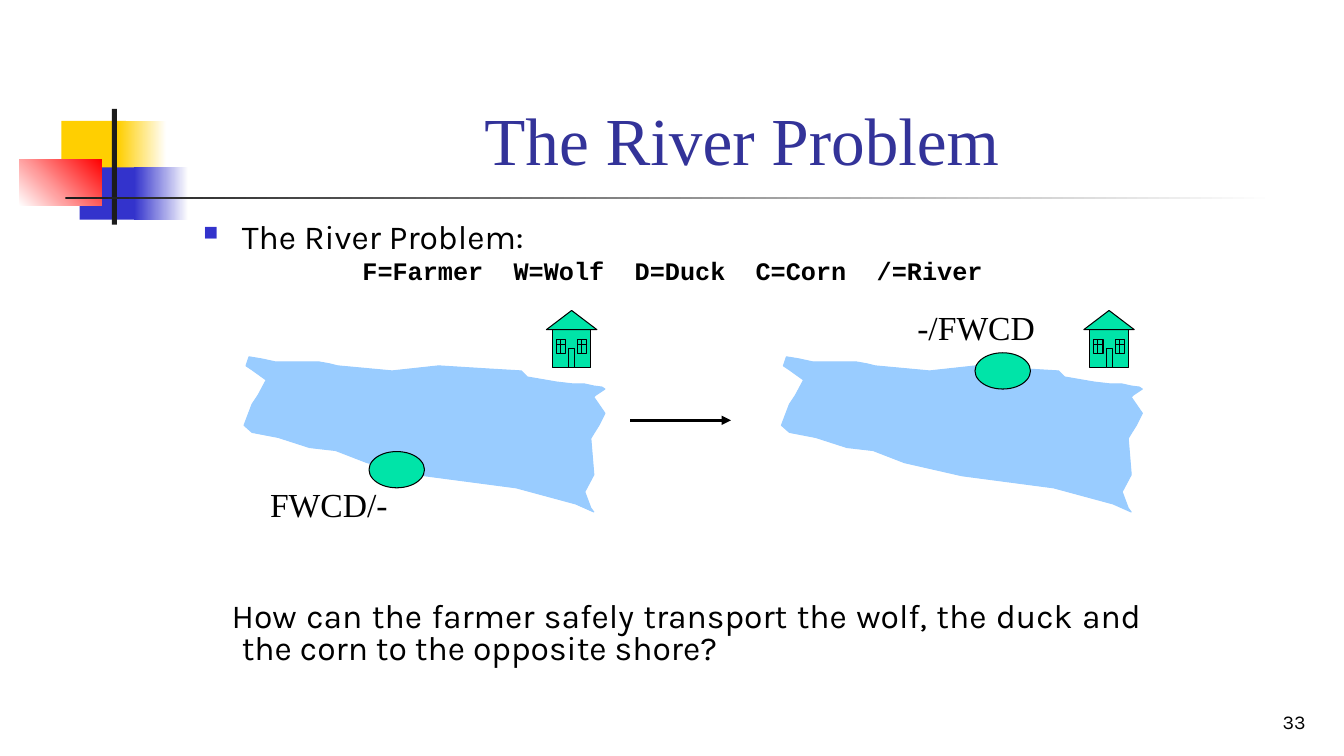
from lxml.etree import SubElement
from pptx import Presentation
from pptx.dml.color import RGBColor
from pptx.enum.shapes import MSO_CONNECTOR as Connector, MSO_SHAPE as Shape
from pptx.enum.text import MSO_ANCHOR as Anchor, PP_ALIGN as Align
from pptx.oxml.ns import qn
from pptx.util import Inches, Pt

BLACK = RGBColor(0x00, 0x00, 0x00)
WHITE = RGBColor(0xFF, 0xFF, 0xFF)
CHARCOAL = RGBColor(0x1C, 0x1C, 0x1C)
YELLOW = RGBColor(0xFF, 0xCF, 0x01)
BLUE = RGBColor(0x33, 0x33, 0xCC)
RED = RGBColor(0xFF, 0x00, 0x00)
TITLE_BLUE = RGBColor(0x33, 0x33, 0x99)
WATER = RGBColor(0x99, 0xCC, 0xFF)
GREEN = RGBColor(0x00, 0xE4, 0xA8)

SERIF, SANS, MONO = "Times New Roman", "Karla", "Courier New"
HANG = 0.38

RIVER_OUTLINE = [
    (347, 154), (329, 146), (270, 130), (179, 118), (122, 105), (91, 93),
    (65, 90), (34, 80), (8, 75), (0, 68), (8, 47), (14, 38), (22, 23),
    (8, 13), (2, 9), (5, 0), (17, 2), (31, 5), (74, 5), (85, 7), (93, 9),
    (147, 14), (193, 9), (241, 12), (275, 14), (281, 20), (310, 25),
    (327, 27), (338, 27), (347, 29), (355, 30), (358, 32), (349, 38),
    (347, 40), (358, 56), (352, 68), (347, 76), (344, 81), (347, 117),
    (338, 134), (344, 150),
]


def add_block(slide, kind, left, top, width, height, fill, outline=None):
    """Add a preset shape with a solid fill and an optional thin outline."""
    block = slide.shapes.add_shape(
        kind, Inches(left), Inches(top), Inches(width), Inches(height))
    block.shadow.inherit = False
    block.fill.solid()
    block.fill.fore_color.rgb = fill
    if outline is None:
        block.line.fill.background()
    else:
        block.line.color.rgb = outline
        block.line.width = Pt(0.75)
    return block


def add_fade(slide, left, top, width, height, start, end, angle=0):
    """Add a borderless rectangle that fades from one colour to another."""
    fade = add_block(slide, Shape.RECTANGLE, left, top, width, height, start)
    fade.fill.gradient()
    fade.fill.gradient_angle = angle
    for stop, color in zip(fade.fill.gradient_stops, (start, end)):
        stop.color.rgb = color


def add_line(slide, x1, y1, x2, y2, width=0.75, arrow=False):
    """Add a black straight line, with an arrowhead at its end if asked."""
    line = slide.shapes.add_connector(
        Connector.STRAIGHT, Inches(x1), Inches(y1), Inches(x2), Inches(y2))
    line.line.color.rgb = BLACK
    line.line.width = Pt(width)
    if arrow:
        SubElement(line.line._get_or_add_ln(), qn("a:tailEnd"), type="triangle")
    SubElement(line._element.spPr, qn("a:effectLst"))


def add_text_frame(slide, left, top, width, height, wrap=True):
    """Add a text box and return its frame."""
    frame = slide.shapes.add_textbox(
        Inches(left), Inches(top), Inches(width), Inches(height)).text_frame
    frame.word_wrap = wrap
    return frame


def write(paragraph, text, font, size, color=BLACK, bold=False, align=Align.LEFT):
    """Fill a paragraph with text in one font."""
    paragraph.text = text
    paragraph.alignment = align
    paragraph.font.name = font
    paragraph.font.size = Pt(size)
    paragraph.font.color.rgb = color
    paragraph.font.bold = bold


def indent(paragraph, margin, first_line):
    """Set the left margin and first-line offset of a paragraph."""
    properties = paragraph._p.get_or_add_pPr()
    properties.set("marL", str(Inches(margin)))
    properties.set("indent", str(Inches(first_line)))
    paragraph.line_spacing = 0.8


def add_bullet(paragraph):
    """Give a paragraph a small blue square bullet."""
    properties = paragraph._p.get_or_add_pPr()
    color = SubElement(properties, qn("a:buClr"))
    SubElement(color, qn("a:srgbClr"), val=str(BLUE))
    SubElement(properties, qn("a:buSzPct"), val="60000")
    SubElement(properties, qn("a:buChar"), char="■")


def add_ornament(slide, left, top):
    """Draw the coloured squares and the crossing bars beside the title."""
    add_block(slide, Shape.RECTANGLE, left + 0.42, top + 0.12, 0.64, 0.52, YELLOW)
    add_fade(slide, left + 0.98, top + 0.12, 0.48, 0.52, YELLOW, WHITE)
    add_block(slide, Shape.RECTANGLE, left + 0.6, top + 0.58, 0.62, 0.52, BLUE)
    add_fade(slide, left + 1.14, top + 0.58, 0.54, 0.52, BLUE, WHITE)
    add_fade(slide, left, top + 0.5, 0.82, 0.46, WHITE, RED, angle=45)
    add_block(slide, Shape.RECTANGLE, left + 0.92, top, 0.05, 1.15, CHARCOAL)
    add_fade(slide, left + 0.46, top + 0.87, 12, 0.03, CHARCOAL, WHITE)


def add_title(slide, left, top, width, height):
    """Place and format the slide title."""
    title = slide.shapes.title
    title.left, title.top = Inches(left), Inches(top)
    title.width, title.height = Inches(width), Inches(height)
    title.text_frame.vertical_anchor = Anchor.BOTTOM
    write(title.text_frame.paragraphs[0], "The River Problem", SERIF, 48,
          TITLE_BLUE, align=Align.CENTER)


def add_introduction(slide, left, top, width, height):
    """Add the bulleted heading and the key to the letters."""
    frame = add_text_frame(slide, left, top, width, height)
    heading, key = frame.paragraphs[0], frame.add_paragraph()
    for paragraph in (heading, key):
        indent(paragraph, HANG, -HANG)
    add_bullet(heading)
    write(heading, "The River Problem:", SANS, 24)
    key.space_before = Pt(3.6)
    write(key, "F=Farmer  W=Wolf  D=Duck  C=Corn  /=River", MONO, 18,
          bold=True, align=Align.CENTER)


def add_question(slide, left, top, width, height):
    """Add the closing question."""
    question = add_text_frame(slide, left, top, width, height).paragraphs[0]
    indent(question, HANG, -0.1)
    write(question, "How can the farmer safely transport the wolf, the duck and "
          "the corn to the opposite shore?", SANS, 24, align=Align.JUSTIFY)


def add_river(slide, left, top):
    """Draw the river from its outline in hundredths of an inch."""
    builder = slide.shapes.build_freeform(*RIVER_OUTLINE[0], scale=Inches(0.01))
    builder.add_line_segments(RIVER_OUTLINE[1:])
    river = builder.convert_to_shape(Inches(left), Inches(top))
    river.shadow.inherit = False
    river.fill.solid()
    river.fill.fore_color.rgb = WATER
    river.line.color.rgb = WATER
    river.line.width = Pt(0.75)


def add_house(slide, left, top):
    """Draw a house with a door, two windows and a roof."""
    add_block(slide, Shape.RECTANGLE, left + 0.06, top + 0.19, 0.38, 0.38, GREEN, BLACK)
    add_block(slide, Shape.RECTANGLE, left + 0.22, top + 0.38, 0.06, 0.19, GREEN, BLACK)
    sill = top + 0.29
    for pane in (left + 0.1, left + 0.31):
        add_block(slide, Shape.RECTANGLE, pane, sill, 0.09, 0.14, GREEN, BLACK)
        add_line(slide, pane + 0.04, sill, pane + 0.04, sill + 0.14)
        add_line(slide, pane, sill + 0.05, pane + 0.09, sill + 0.05)
    add_block(slide, Shape.FLOWCHART_EXTRACT, left, top, 0.5, 0.19, GREEN, BLACK)


def add_state(slide, left, top, state, label_at, boat_at):
    """Draw one state: river, house, boat and state label."""
    add_river(slide, left, top + 0.46)
    label = add_text_frame(slide, left + label_at[0], top + label_at[1],
                           1.37, 0.5, wrap=False)
    write(label.paragraphs[0], state, SERIF, 24)
    add_house(slide, left + 3, top)
    add_block(slide, Shape.OVAL, left + boat_at[0], top + boat_at[1],
              0.55, 0.36, GREEN, BLACK)


def add_page_number(slide, left, top, width, height):
    """Add the slide number at the bottom right."""
    frame = add_text_frame(slide, left, top, width, height)
    frame.vertical_anchor = Anchor.BOTTOM
    write(frame.paragraphs[0], "33", SANS, 14, align=Align.RIGHT)


def main():
    """Build the slide and save it."""
    deck = Presentation()
    deck.slide_width, deck.slide_height = Inches(13.33), Inches(7.5)
    slide = deck.slides.add_slide(deck.slide_layouts[5])
    add_ornament(slide, 0.19, 1.08)
    add_title(slide, 1.68, 0.23, 11.36, 1.6)
    add_introduction(slide, 1.92, 2.17, 9.5, 0.8)
    add_state(slide, 2.42, 3.08, "FWCD/-", (0.16, 1.67), (1.24, 1.4))
    add_state(slide, 7.75, 3.08, "-/FWCD", (1.25, -0.08), (1.92, 0.42))
    add_line(slide, 6.25, 4.17, 7.25, 4.17, width=2.25, arrow=True)
    add_question(slide, 1.92, 5.93, 9.5, 0.8)
    add_page_number(slide, 10.27, 6.83, 2.78, 0.5)
    deck.save("out.pptx")


if __name__ == "__main__":
    main()
